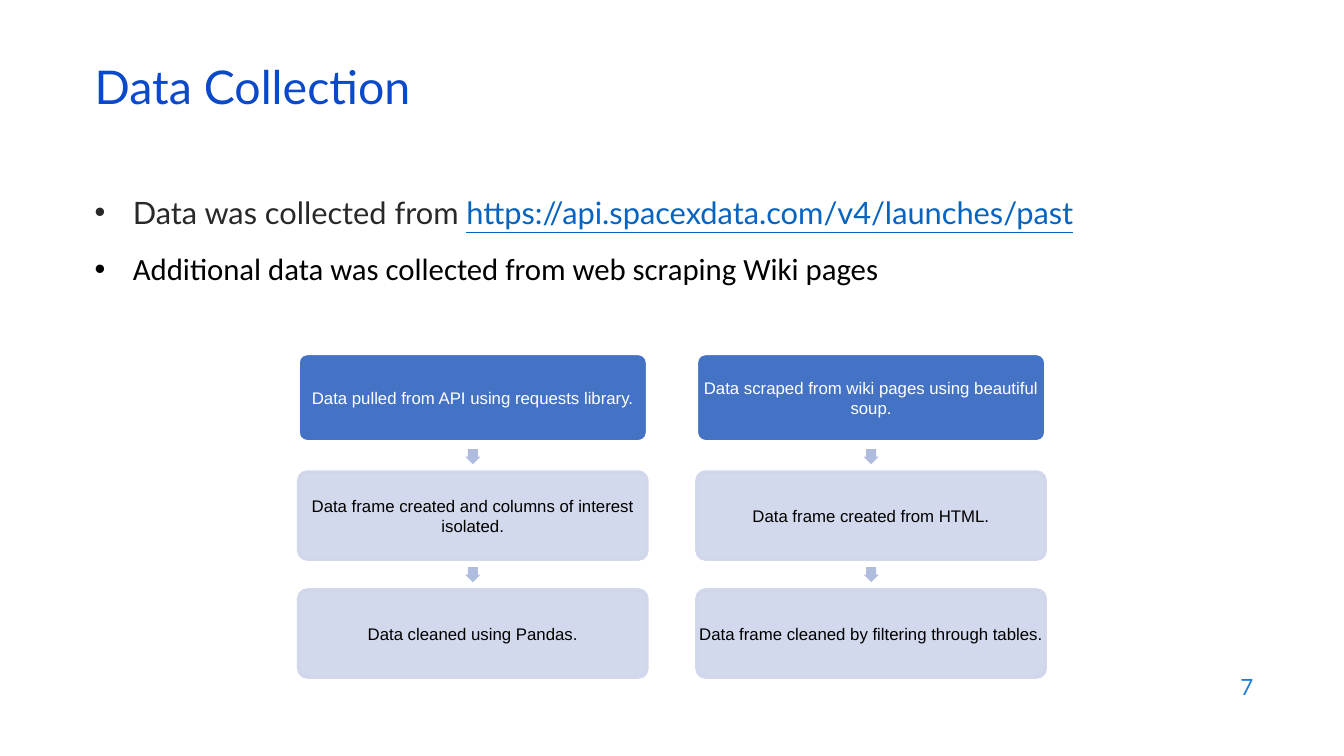
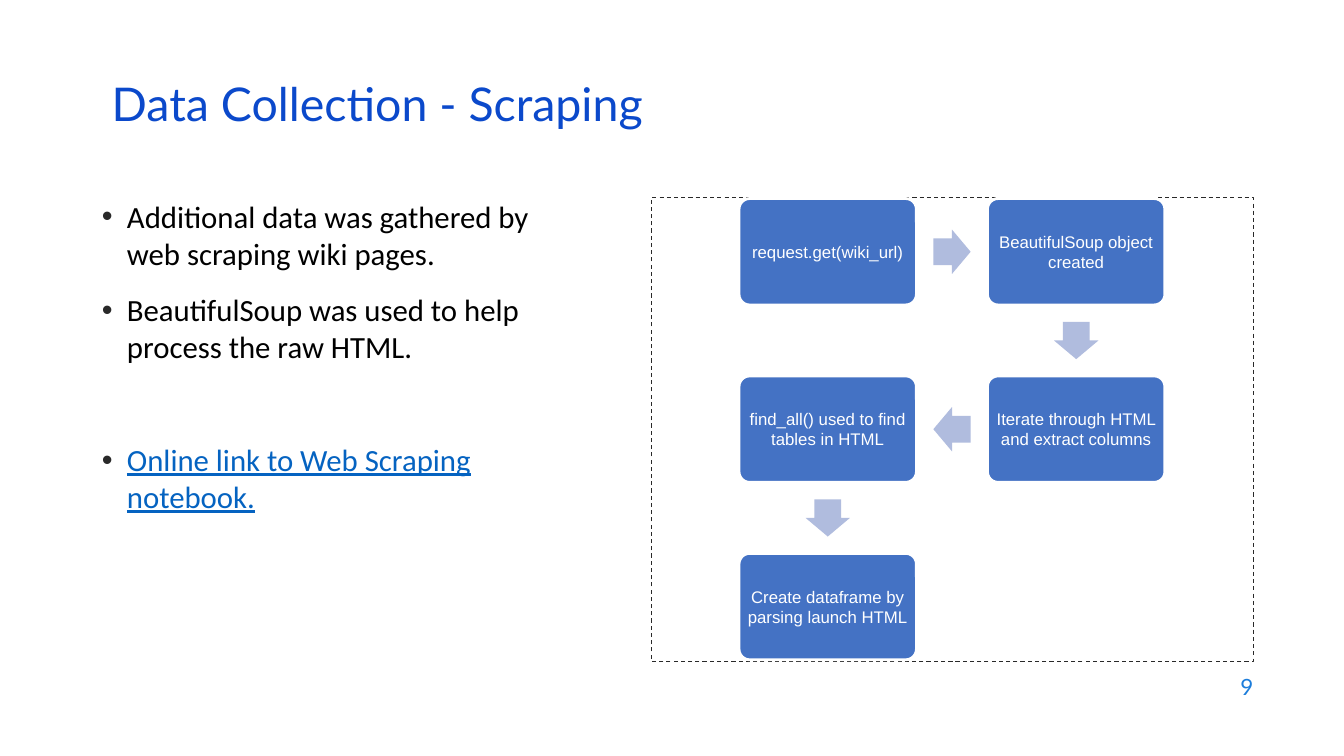
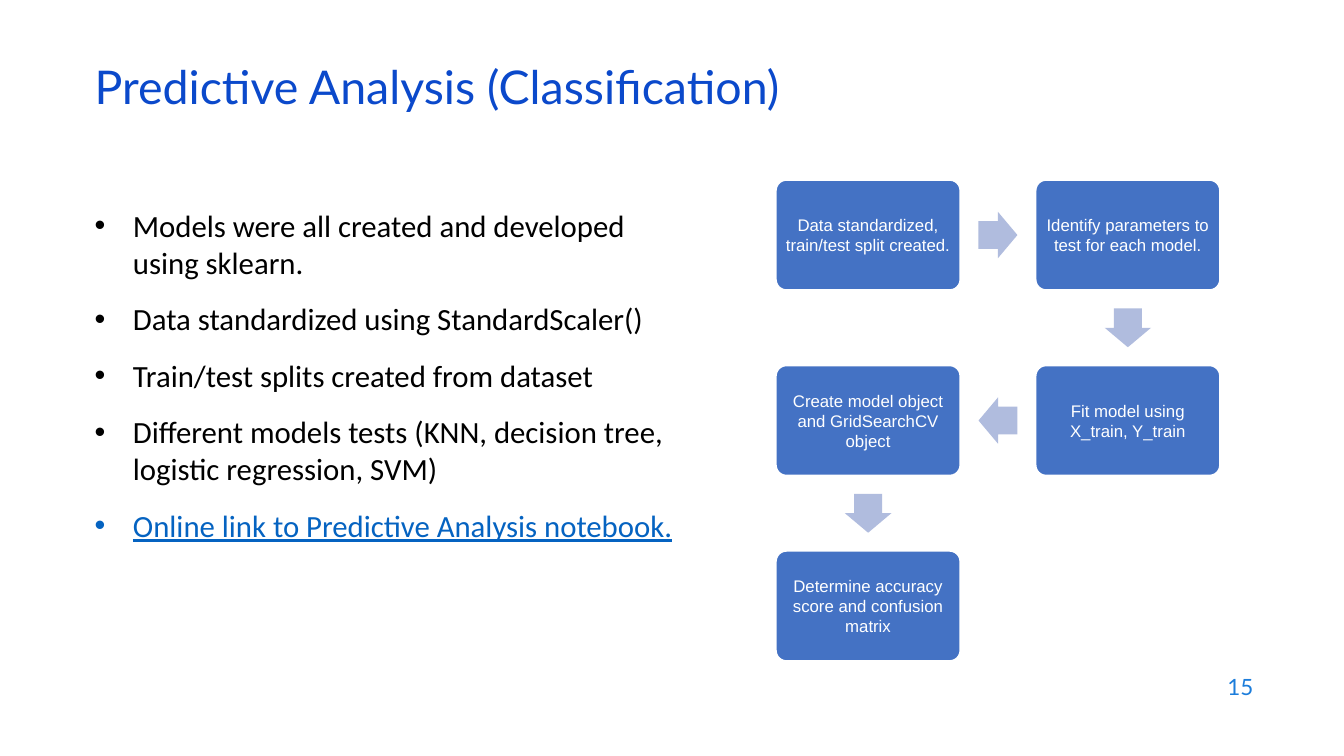
import math

from lxml import etree
from pptx import Presentation
from pptx import util as u
from pptx.dml.color import RGBColor
from pptx.enum import dml, shapes, text
from pptx.oxml import ns

COLOURS = {
    "title": "0B49CB", "number": "1C7DDB", "body": "000000", "soft": "292929",
    "link": "0563C1", "step": "4472C4", "pale": "CFD5EA", "arrow": "B0BCDE",
    "white": "FFFFFF",
}

# Text formats shared by the slides
TITLE = {"name": "Lato", "size": u.Pt(33.2), "colour": "title"}
NUMBER = {"name": "Lato", "size": u.Pt(16), "colour": "number"}
BODY = {"name": "Calibri", "size": u.Pt(22), "colour": "body"}
LATO = {**BODY, "name": "Lato", "colour": "soft"}
LINK = {**BODY, "colour": "link", "underline": True}
STEP = {"name": "Arial", "size": u.Pt(12), "colour": "white"}
STEP_PALE = {**STEP, "colour": "body"}


def rgb(name):
    return RGBColor.from_string(COLOURS[name])


def add_run(paragraph, words, style):
    run = paragraph.add_run()
    run.text = words
    for key, value in style.items():
        if key == "colour":
            run.font.color.rgb = rgb(value)
        else:
            setattr(run.font, key, value)


def set_frame(shape, inset, anchor):
    frame = shape.text_frame
    horizontal, vertical = (u.Inches(side) for side in inset)
    settings = {
        "word_wrap": True, "vertical_anchor": anchor,
        "margin_left": horizontal, "margin_right": horizontal,
        "margin_top": vertical, "margin_bottom": vertical,
    }
    for key, value in settings.items():
        setattr(frame, key, value)
    return frame


def add_text_box(slide, box, inset=(0.1, 0.05), anchor=text.MSO_ANCHOR.MIDDLE):
    shape = slide.shapes.add_textbox(*map(u.Inches, box))
    return set_frame(shape, inset, anchor)


def add_bullet(paragraph, indent, colour):
    properties = paragraph._p.get_or_add_pPr()
    properties.set("marL", str(u.Inches(indent)))
    properties.set("indent", str(-u.Inches(indent)))
    if colour:
        holder = etree.SubElement(properties, ns.qn("a:buClr"))
        etree.SubElement(holder, ns.qn("a:srgbClr"), val=COLOURS[colour])
    etree.SubElement(properties, ns.qn("a:buFont"), typeface="Arial")
    etree.SubElement(properties, ns.qn("a:buChar"), char="•")


def add_page(presentation, title, number, left=0.84, top=0.59):
    """Blank slide with the shared title and slide number."""
    slide = presentation.slides.add_slide(presentation.slide_layouts[6])
    paragraph = add_text_box(slide, (left, top, 11.5, 0.6)).paragraphs[0]
    paragraph.line_spacing = 0.9
    add_run(paragraph, title, TITLE)
    paragraph = add_text_box(slide, (9.53, 6.59, 3, 0.44)).paragraphs[0]
    paragraph.alignment = text.PP_ALIGN.RIGHT
    add_run(paragraph, str(number), NUMBER)
    return slide


def add_bullets(slide, box, items, inset=(0.1, 0.05), indent=0.38,
                bullet_colour=None, gaps=None):
    """Each item is a list of (words, style); gaps overrides space before."""
    frame = add_text_box(slide, box, inset, text.MSO_ANCHOR.TOP)
    for index, runs in enumerate(items):
        paragraph = frame.add_paragraph() if index else frame.paragraphs[0]
        add_bullet(paragraph, indent, bullet_colour)
        if index:
            paragraph.space_before = u.Pt((gaps or {}).get(index, 14))
        for words, style in runs:
            add_run(paragraph, words, style)


def add_centred(slide, kind, centre, size, colour):
    (x, y), (width, height) = centre, size
    box = (x - width / 2, y - height / 2, width, height)
    shape = slide.shapes.add_shape(kind, *map(u.Inches, box))
    shape.shadow.inherit = False
    shape.fill.solid()
    shape.fill.fore_color.rgb = rgb(colour)
    return shape


def add_step(slide, centre, size, words, inset, pale):
    shape = add_centred(slide, shapes.MSO_SHAPE.ROUNDED_RECTANGLE, centre, size,
                        "pale" if pale else "step")
    shape.adjustments[0] = 0.1
    shape.line.width = u.Pt(2)
    shape.line.color.rgb = rgb("pale" if pale else "white")
    if pale:
        for colour in shape._element.spPr.iter(ns.qn("a:srgbClr")):
            etree.SubElement(colour, ns.qn("a:alpha"), val="90000")
    frame = set_frame(shape, (inset, inset), text.MSO_ANCHOR.MIDDLE)
    paragraph = frame.paragraphs[0]
    paragraph.alignment = text.PP_ALIGN.CENTER
    add_run(paragraph, words, STEP_PALE if pale else STEP)


def add_flow(slide, centres, size, labels, arrow_size, stem, inset, pale_after):
    """Steps at the centres, with an arrow midway between neighbours."""
    for index, (centre, words) in enumerate(zip(centres, labels)):
        add_step(slide, centre, size, words, inset, index >= pale_after)
    for (x1, y1), (x2, y2) in zip(centres, centres[1:]):
        arrow = add_centred(slide, shapes.MSO_SHAPE.RIGHT_ARROW,
                            ((x1 + x2) / 2, (y1 + y2) / 2), arrow_size, "arrow")
        arrow.line.fill.background()
        arrow.adjustments[0], arrow.adjustments[1] = stem, 0.5
        arrow.rotation = math.degrees(math.atan2(y2 - y1, x2 - x1))


def add_column_flow(slide, left, top, labels):
    """One column: a strong first step, then pale ones."""
    width, height, pitch = 3.46, 0.87, 1.17
    centres = [(left + width / 2, top + height / 2 + row * pitch)
               for row in range(len(labels))]
    add_flow(slide, centres, (width, height), labels, (0.15, 0.15), 0.67, 0, 1)


def add_snake_flow(slide, left, top, width, labels):
    """Two columns, read back and forth down the rows."""
    height = width * 0.6
    centres = []
    for index in range(len(labels)):
        row, place = divmod(index, 2)
        column = 1 - place if row % 2 else place
        centres.append((left + width / 2 + column * width * 1.4,
                        top + height / 2 + row * width))
    add_flow(slide, centres, (width, height), labels,
             (width * 0.21, width * 0.25), 0.6, 0.02, len(labels))


def add_dashed_frame(slide, box):
    frame = slide.shapes.add_shape(shapes.MSO_SHAPE.RECTANGLE, *map(u.Inches, box))
    frame.shadow.inherit = False
    frame.fill.background()
    frame.line.color.rgb = rgb("soft")
    frame.line.width = u.Pt(0.75)
    frame.line.dash_style = dml.MSO_LINE.DASH


def build_collection(presentation):
    slide = add_page(presentation, "Data Collection", 7)
    add_bullets(slide, (0.84, 1.87, 11.5, 1.4), [
        [("Data was collected from ", LATO),
         ("https://api.spacexdata.com/v4/launches/past", {**LINK, "name": "Lato"})],
        [("Additional data was collected from web scraping Wiki pages", BODY)],
    ])
    add_column_flow(slide, 2.96, 3.51, [
        "Data pulled from API using requests library.",
        "Data frame created and columns of interest isolated.",
        "Data cleaned using Pandas.",
    ])
    add_column_flow(slide, 6.91, 3.51, [
        "Data scraped from wiki pages using beautiful soup.",
        "Data frame created from HTML.",
        "Data frame cleaned by filtering through tables.",
    ])


def build_scraping(presentation):
    slide = add_page(presentation, "Data Collection - Scraping", 9, 1.01, 0.76)
    add_bullets(slide, (1.01, 1.96, 4.3, 4.17), [
        [("Additional data was gathered by web scraping wiki pages.", BODY)],
        [("BeautifulSoup was used to help process the raw HTML.", BODY)],
        [("Online link to Web Scraping notebook.", LINK)],
    ], inset=(0, 0), indent=0.25, bullet_colour="soft", gaps={2: 54.4})
    add_dashed_frame(slide, (6.46, 1.96, 5.97, 4.6))
    add_snake_flow(slide, 7.33, 1.97, 1.76, [
        "request.get(wiki_url)",
        "BeautifulSoup object created",
        "Iterate through HTML and extract columns",
        "find_all() used to find tables in HTML",
        "Create dataframe by parsing launch HTML",
    ])


def build_prediction(presentation):
    slide = add_page(presentation, "Predictive Analysis (Classification)", 15)
    add_bullets(slide, (0.84, 2, 6.12, 4.76), [
        [("Models were all created and developed using sklearn.", BODY)],
        [("Data standardized using StandardScaler()", BODY)],
        [("Train/test splits created from dataset", BODY)],
        [("Different models tests (KNN, decision tree, logistic regression, SVM)", BODY)],
        [("Online link to Predictive Analysis notebook.", LINK)],
    ])
    add_snake_flow(slide, 7.69, 1.78, 1.84, [
        "Data standardized, train/test split created.",
        "Identify parameters to test for each model.",
        "Fit model using X_train, Y_train",
        "Create model object and GridSearchCV object",
        "Determine accuracy score and confusion matrix",
    ])


def main():
    presentation = Presentation()
    presentation.slide_width = u.Inches(13.33)
    presentation.slide_height = u.Inches(7.5)
    build_collection(presentation)
    build_scraping(presentation)
    build_prediction(presentation)
    presentation.save("out.pptx")


if __name__ == "__main__":
    main()
